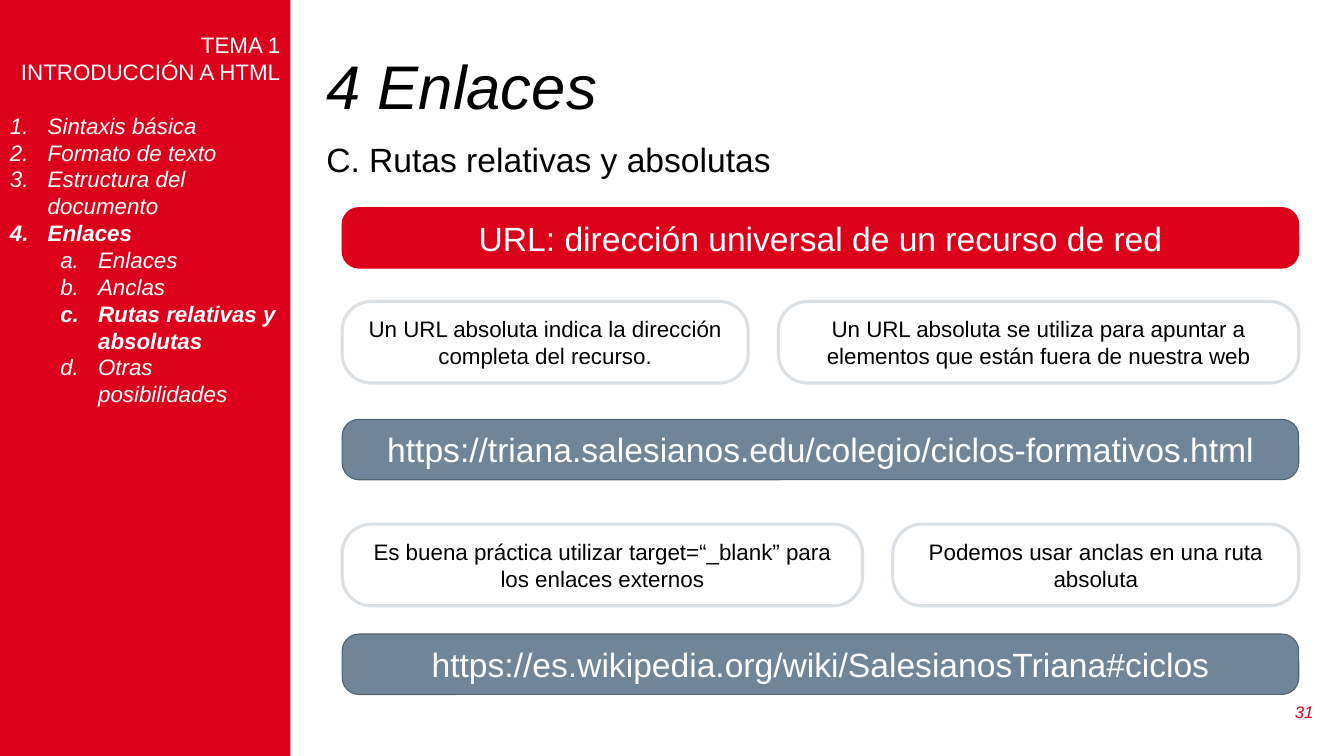
from dataclasses import dataclass

from lxml import etree
from pptx import Presentation
from pptx.dml.color import RGBColor
from pptx.enum.shapes import MSO_SHAPE as Shape
from pptx.enum.text import MSO_ANCHOR as Anchor, MSO_AUTO_SIZE as AutoSize, PP_ALIGN as Align
from pptx.oxml.ns import qn
from pptx.util import Pt


@dataclass(frozen=True)
class Theme:
    font: str = "Arial"
    red: str = "DC001B"
    slate: str = "708698"
    slate_edge: str = "516270"
    pale_edge: str = "DAE0E4"
    white: str = "FFFFFF"
    black: str = "000000"
    title: int = 44
    heading: int = 24
    body: int = 16
    number: int = 12


THEME = Theme()
SLIDE_SIZE = (960, 540)
SIDEBAR_BOX = (0, 0, 207.4, 540)
TITLE_BOX = (226, 36, 719.3, 56.2)
SUBTITLE_BOX = (226, 95.8, 537, 36)
NUMBER_BOX = (908.6, 493.9, 36.7, 28.8)
CONTENT_BOX = (244.4, 148.3, 683.3, 347.8)

HEADER = ["TEMA 1", "INTRODUCCIÓN A HTML"]
# Outline entries: level, text, current
OUTLINE = [
    (0, "Sintaxis básica", False),
    (0, "Formato de texto", False),
    (0, "Estructura del documento", False),
    (0, "Enlaces", True),
    (1, "Enlaces", False),
    (1, "Anclas", False),
    (1, "Rutas relativas y absolutas", True),
    (1, "Otras posibilidades", False),
]
NARROW, WIDE = 290, 371.7
BAR_HEIGHT, NOTE_HEIGHT = 43.2, 58.3
# Bars: offset from the content top, text, fill, edge
BARS = [
    (0, "URL: dirección universal de un recurso de red", THEME.red, THEME.red),
    (151.2, "https://triana.salesianos.edu/colegio/ciclos-formativos.html",
     THEME.slate, THEME.slate_edge),
    (304.6, "https://es.wikipedia.org/wiki/SalesianosTriana#ciclos",
     THEME.slate, THEME.slate_edge),
]
# Note pairs: offset, then width and text of the left and right notes
NOTE_ROWS = [
    (67, (NARROW, "Un URL absoluta indica la dirección completa del recurso."),
     (WIDE, "Un URL absoluta se utiliza para apuntar a elementos que están "
            "fuera de nuestra web")),
    (226.1, (WIDE, "Es buena práctica utilizar target=“_blank” para los enlaces externos"),
     (NARROW, "Podemos usar anclas en una ruta absoluta")),
]


def points(box):
    return [Pt(value) for value in box]


def style(para, size, color, align=Align.LEFT, bold=False, italic=False):
    para.alignment = align
    for span in para.runs:
        font = span.font
        font.name, font.size = THEME.font, Pt(size)
        font.bold, font.italic = bold, italic
        font.color.rgb = RGBColor.from_string(color)


def add_block(page, kind, box, fill=None, edge=None, edge_width=0.75):
    block = page.shapes.add_shape(kind, *points(box))
    block.shadow.inherit = False
    if fill:
        block.fill.solid()
        block.fill.fore_color.rgb = RGBColor.from_string(fill)
    else:
        block.fill.background()
    if edge:
        block.line.color.rgb = RGBColor.from_string(edge)
        block.line.width = Pt(edge_width)
    else:
        block.line.fill.background()
    return block


def add_label(page, box, text, size, color, **options):
    frame = page.shapes.add_textbox(*points(box)).text_frame
    frame.word_wrap = True
    frame.text = text
    style(frame.paragraphs[0], size, color, **options)
    return frame


def number_paragraph(para, level):
    para.level = level
    props = para._p.get_or_add_pPr()
    props.set("marL", str(Pt(27 + 36 * level)))
    props.set("indent", str(Pt(-27)))
    scheme = ("arabicPeriod", "alphaLcPeriod")[level]
    etree.SubElement(props, qn("a:buFont")).set("typeface", "+mj-lt")
    etree.SubElement(props, qn("a:buAutoNum")).set("type", scheme)


def add_sidebar(page, box):
    frame = add_block(page, Shape.RECTANGLE, box, THEME.red).text_frame
    frame.word_wrap = True
    frame.vertical_anchor = Anchor.TOP
    frame.margin_top = Pt(22.5)
    frame.text = "\n".join(HEADER + [text for _, text, _ in OUTLINE])
    header = frame.paragraphs[:len(HEADER)]
    entries = frame.paragraphs[len(HEADER):]
    for para in header:
        style(para, THEME.body, THEME.white, Align.RIGHT)
    for para, (level, _, current) in zip(entries, OUTLINE):
        number_paragraph(para, level)
        style(para, THEME.body, THEME.white, bold=current, italic=True)
    entries[0].space_before = Pt(19)


def add_headings(page):
    title = page.shapes.title
    title.left, title.top, title.width, title.height = points(TITLE_BOX)
    frame = title.text_frame
    frame.text = "4 Enlaces"
    frame.auto_size = AutoSize.NONE
    frame.vertical_anchor = Anchor.MIDDLE
    frame.paragraphs[0].line_spacing = 0.9
    style(frame.paragraphs[0], THEME.title, THEME.black, italic=True)
    add_label(page, SUBTITLE_BOX, "C. Rutas relativas y absolutas", THEME.heading, THEME.black)


def add_card(page, box, text, size, color, rounding, **look):
    card = add_block(page, Shape.ROUNDED_RECTANGLE, box, **look)
    card.adjustments[0] = rounding
    frame = card.text_frame
    frame.word_wrap = True
    frame.vertical_anchor = Anchor.MIDDLE
    frame.text = text
    style(frame.paragraphs[0], size, color, Align.CENTER)


def add_content(page, box):
    left, top, width, _ = box
    # Full-width bars
    for offset, text, fill, edge in BARS:
        add_card(page, (left, top + offset, width, BAR_HEIGHT), text,
                 THEME.heading, THEME.white, 0.277, fill=fill, edge=edge)
    # Pairs of notes, flush with both sides
    for offset, first, second in NOTE_ROWS:
        starts = (left, left + width - second[0])
        for start, (note_width, text) in zip(starts, (first, second)):
            add_card(page, (start, top + offset, note_width, NOTE_HEIGHT), text,
                     THEME.body, THEME.black, 0.357,
                     edge=THEME.pale_edge, edge_width=2.25)


def add_page_number(page, box):
    frame = add_label(page, box, "31", THEME.number, THEME.red, align=Align.RIGHT, italic=True)
    frame.vertical_anchor = Anchor.MIDDLE


def main():
    deck = Presentation()
    deck.slide_width, deck.slide_height = points(SLIDE_SIZE)
    page = deck.slides.add_slide(deck.slide_layouts.get_by_name("Title Only"))
    add_headings(page)
    add_sidebar(page, SIDEBAR_BOX)
    add_content(page, CONTENT_BOX)
    add_page_number(page, NUMBER_BOX)
    deck.save("out.pptx")


if __name__ == "__main__":
    main()
